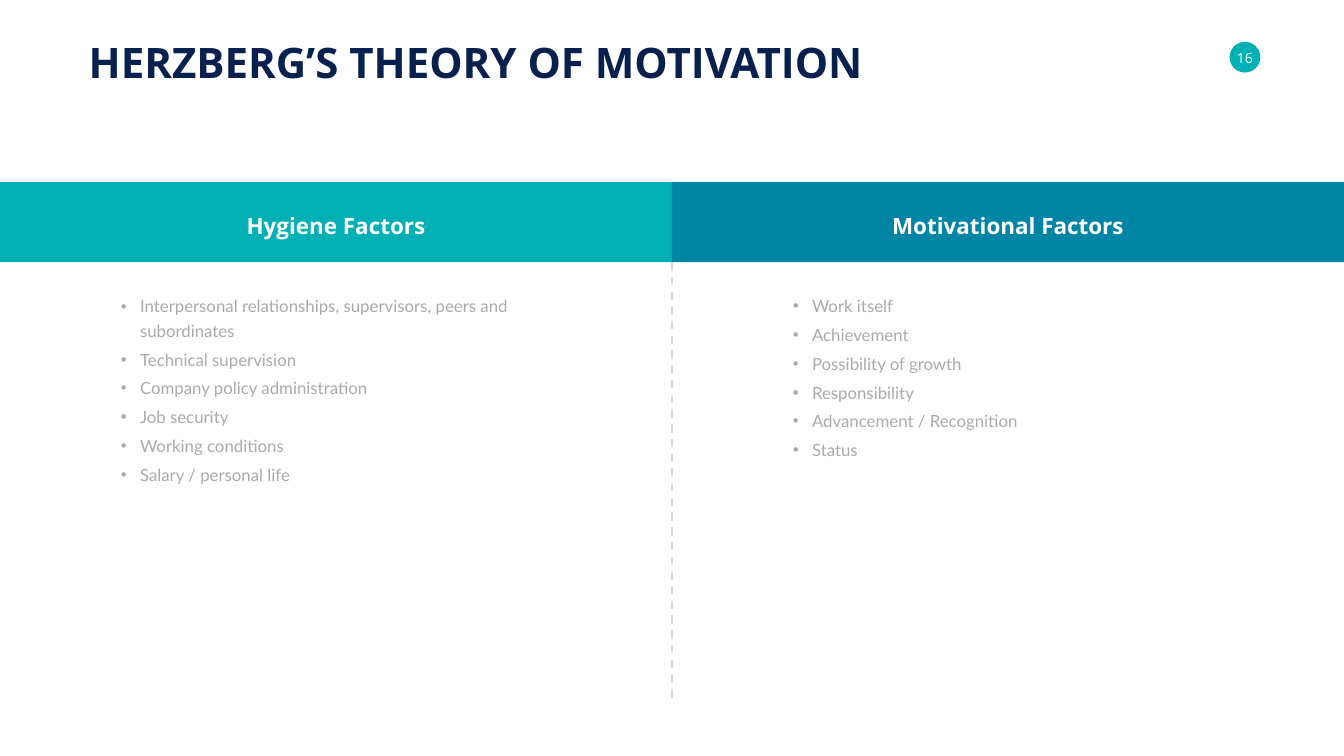
from dataclasses import dataclass

from lxml import etree
from pptx import Presentation
from pptx.dml.color import RGBColor
from pptx.enum.dml import MSO_LINE
from pptx.enum.shapes import MSO_CONNECTOR, MSO_SHAPE
from pptx.enum.text import MSO_ANCHOR, MSO_AUTO_SIZE, PP_ALIGN
from pptx.oxml.ns import qn
from pptx.util import Inches, Pt

LEFT, CENTER = PP_ALIGN.LEFT, PP_ALIGN.CENTER
TOP, MIDDLE = MSO_ANCHOR.TOP, MSO_ANCHOR.MIDDLE
FIT_SHAPE = MSO_AUTO_SIZE.SHAPE_TO_FIT_TEXT
RECTANGLE, OVAL = MSO_SHAPE.RECTANGLE, MSO_SHAPE.OVAL
STRAIGHT, DASH = MSO_CONNECTOR.STRAIGHT, MSO_LINE.DASH


@dataclass(frozen=True)
class Theme:
    teal: str = "00B0B5"
    blue: str = "0085A4"
    navy: str = "08204D"
    grey: str = "AAAAAA"
    divider: str = "D9D9D9"
    white: str = "FFFFFF"
    heading_font: str = "Open Sans"
    body_font: str = "Lato"
    title_size: int = 60
    heading_size: int = 32
    body_size: int = 24
    number_size: int = 20


THEME = Theme()
SLIDE_W, SLIDE_H = 26.66, 15
HALF = SLIDE_W / 2
BAND_TOP, BAND_H = 3.61, 1.59

prs = Presentation()
prs.slide_width, prs.slide_height = Inches(SLIDE_W), Inches(SLIDE_H)
slide = prs.slides.add_slide(prs.slide_layouts[6])


def add_block(shape_type, color, left, top, width, height):
    block = slide.shapes.add_shape(
        shape_type, Inches(left), Inches(top), Inches(width), Inches(height))
    block.shadow.inherit = False
    block.fill.solid()
    block.fill.fore_color.rgb = RGBColor.from_string(color)
    block.line.fill.background()


def add_text(text, *, box, size, color, font=THEME.heading_font, bold=False,
             align=LEFT, anchor=TOP, wrap=False, inset=None,
             line_pt=None, before_pt=0, bullet_indent=None):
    """Add a text box; each line of text becomes a paragraph."""
    frame = slide.shapes.add_textbox(*map(Inches, box)).text_frame
    frame.word_wrap = wrap
    frame.auto_size = FIT_SHAPE
    frame.vertical_anchor = anchor
    if inset is not None:
        frame.margin_left = frame.margin_right = Inches(inset)
        frame.margin_top = frame.margin_bottom = Inches(inset)
    frame.text = text
    for i, paragraph in enumerate(frame.paragraphs):
        paragraph.alignment = align
        if line_pt:
            paragraph.line_spacing = Pt(line_pt)
        if i and before_pt:
            paragraph.space_before = Pt(before_pt)
        if bullet_indent:
            props = paragraph._p.get_or_add_pPr()
            props.set("marL", str(Inches(bullet_indent)))
            props.set("indent", str(-Inches(bullet_indent)))
            etree.SubElement(props, qn("a:buFont")).set("typeface", "Arial")
            etree.SubElement(props, qn("a:buChar")).set("char", "•")
        for run in paragraph.runs:
            run.font.name = font
            run.font.size = Pt(size)
            run.font.bold = bold
            run.font.color.rgb = RGBColor.from_string(color)


# Page number
add_block(OVAL, THEME.teal, 24.39, 0.83, 0.61, 0.61)
add_text("16", box=(24.52, 0.97, 0.35, 0.34), size=THEME.number_size,
         color=THEME.white, align=CENTER, anchor=MIDDLE, inset=0)

# Title
add_text("HERZBERG’S THEORY OF MOTIVATION", box=(1.66, 0.67, 15.71, 1.11),
         size=THEME.title_size, color=THEME.navy, bold=True)

# Factor columns: heading, band colour, heading width, list height, factors
columns = [
    ("Hygiene Factors", THEME.teal, 3.78, 3.89, [
        "Interpersonal relationships, supervisors, peers and subordinates",
        "Technical supervision",
        "Company policy administration",
        "Job security",
        "Working conditions",
        "Salary / personal life",
    ]),
    ("Motivational Factors", THEME.blue, 4.84, 3.4, [
        "Work itself",
        "Achievement",
        "Possibility of growth",
        "Responsibility",
        "Advancement / Recognition",
        "Status",
    ]),
]
for i, (heading, band_color, heading_w, list_h, factors) in enumerate(columns):
    left = i * HALF
    add_block(RECTANGLE, band_color, left, BAND_TOP, HALF, BAND_H)
    add_text(heading, box=(left + (HALF - heading_w) / 2, 4.03, heading_w, 0.74),
             size=THEME.heading_size, color=THEME.white, bold=True,
             align=CENTER, anchor=MIDDLE, line_pt=50)
    add_text("\n".join(factors), box=(left + 2.3, 5.74, 8.73, list_h),
             size=THEME.body_size, color=THEME.grey, font=THEME.body_font,
             wrap=True, line_pt=35, before_pt=6, bullet_indent=0.38)

# Dashed divider between the columns
divider = slide.shapes.add_connector(
    STRAIGHT, Inches(HALF), Inches(13.84), Inches(HALF), Inches(BAND_TOP + BAND_H))
divider.line.color.rgb = RGBColor.from_string(THEME.divider)
divider.line.width = Pt(3)
divider.line.dash_style = DASH
etree.SubElement(divider._element.spPr, qn("a:effectLst"))

prs.save("out.pptx")
